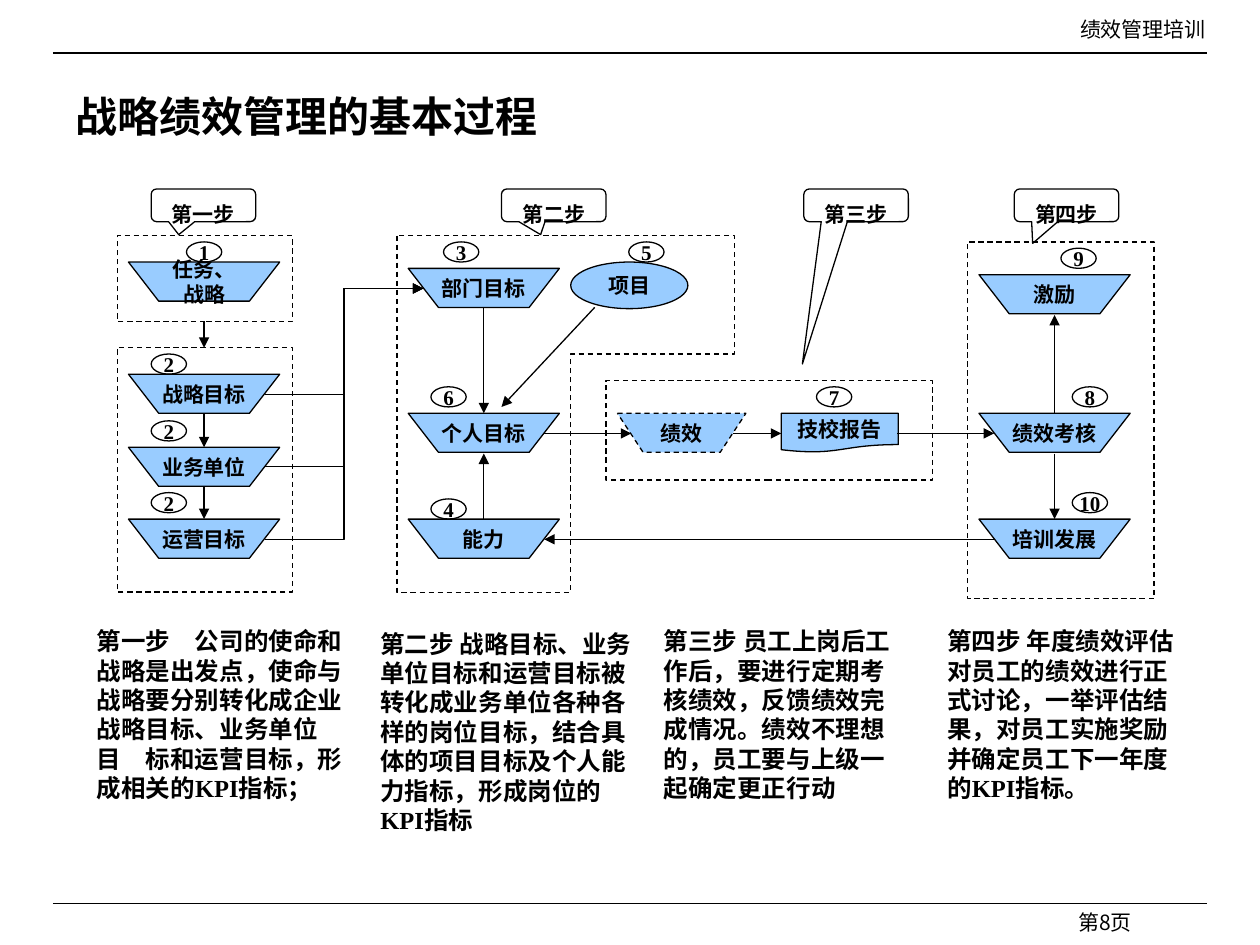
from typing import NamedTuple

from lxml.etree import SubElement
from pptx import Presentation
from pptx.dml.color import RGBColor
from pptx.enum.dml import MSO_LINE as Dash
from pptx.enum.shapes import MSO_CONNECTOR as Connector, MSO_SHAPE as Shape
from pptx.enum.text import MSO_ANCHOR as Anchor, PP_ALIGN as Align
from pptx.oxml.ns import qn
from pptx.util import Inches, Pt

BLACK = "000000"
BLUE = "99CCFF"
SERIF = "Times New Roman"
SANS = "Noto Sans CJK SC"
NODE_WIDTH, NODE_HEIGHT = 1.2, 0.31
BADGE_WIDTH, BADGE_HEIGHT = 0.28, 0.16
CALLOUT_TOP, CALLOUT_WIDTH, CALLOUT_HEIGHT = 1.5, 0.83, 0.26
LEFT_COLUMN, MIDDLE_COLUMN, RIGHT_COLUMN = 1.02, 3.24, 7.77
LEFT_AXIS, MIDDLE_AXIS, RIGHT_AXIS = 1.62, 3.84, 8.37
MIDDLE_ROW, BOTTOM_ROW = 3.28, 4.12
MIDDLE_FLOW, BOTTOM_FLOW = 3.44, 4.28


class Box(NamedTuple):
    left: float
    top: float
    width: float
    height: float


class Node(NamedTuple):
    text: str
    left: float
    top: float
    width: float = NODE_WIDTH
    height: float = NODE_HEIGHT
    kind: Shape = Shape.FLOWCHART_MANUAL_OPERATION
    dashed: bool = False


class Badge(NamedTuple):
    number: int
    left: float
    top: float


class Arrow(NamedTuple):
    start_x: float
    start_y: float
    end_x: float
    end_y: float


class Step(NamedTuple):
    label: str
    label_left: float
    callout_left: float
    pointer_x: float
    pointer_y: float
    description: str
    description_box: Box


FRAMES = [
    Box(0.93, 1.87, 1.39, 0.68),
    Box(0.93, 2.76, 1.39, 1.94),
    Box(4.81, 3.02, 2.59, 0.79),
    Box(7.68, 1.92, 1.48, 2.83),
]
STEP_TWO_OUTLINE = [(3.15, 1.87), (3.15, 4.7), (4.53, 4.7),
                    (4.53, 2.81), (5.83, 2.81), (5.83, 1.87)]
NODES = [
    Node("任务、\n战略", LEFT_COLUMN, 2.08),
    Node("战略目标", LEFT_COLUMN, 2.97),
    Node("业务单位", LEFT_COLUMN, 3.55),
    Node("运营目标", LEFT_COLUMN, BOTTOM_ROW),
    Node("部门目标", MIDDLE_COLUMN, 2.13),
    Node("个人目标", MIDDLE_COLUMN, MIDDLE_ROW),
    Node("能力", MIDDLE_COLUMN, BOTTOM_ROW),
    Node("项目", 4.53, 2.08, 0.93, 0.37, Shape.OVAL),
    Node("绩效", 4.9, MIDDLE_ROW, width=1.02, dashed=True),
    Node("技校报告", 6.2, MIDDLE_ROW, width=0.93, kind=Shape.FLOWCHART_DOCUMENT),
    Node("激励", RIGHT_COLUMN, 2.18),
    Node("绩效考核", RIGHT_COLUMN, MIDDLE_ROW),
    Node("培训发展", RIGHT_COLUMN, BOTTOM_ROW),
]
BADGES = [
    Badge(1, 1.48, 1.92), Badge(2, 1.2, 2.81), Badge(2, 1.2, 3.34),
    Badge(2, 1.2, 3.91), Badge(3, 3.52, 1.92), Badge(4, 3.42, 3.96),
    Badge(5, 4.99, 1.92), Badge(6, 3.42, 3.07), Badge(7, 6.48, 3.07),
    Badge(8, 8.51, 3.07), Badge(9, 8.42, 1.97), Badge(10, 8.51, 3.91),
]
ELBOW_ARROWS = [Arrow(2.1, y, 3.36, 2.29) for y in (3.13, 3.7, BOTTOM_FLOW)]
STRAIGHT_ARROWS = [
    Arrow(LEFT_AXIS, 2.55, LEFT_AXIS, 2.76),
    Arrow(LEFT_AXIS, 3.28, LEFT_AXIS, 3.55),
    Arrow(LEFT_AXIS, 3.86, LEFT_AXIS, BOTTOM_ROW),
    Arrow(MIDDLE_AXIS, 2.44, MIDDLE_AXIS, MIDDLE_ROW),
    Arrow(MIDDLE_AXIS, BOTTOM_ROW, MIDDLE_AXIS, 3.6),
    Arrow(4.72, 2.44, 3.98, 3.23),
    Arrow(4.53, 2.81, 4.53, 2.81),
    Arrow(4.32, MIDDLE_FLOW, 5.01, MIDDLE_FLOW),
    Arrow(5.82, MIDDLE_FLOW, 6.2, MIDDLE_FLOW),
    Arrow(7.12, MIDDLE_FLOW, 7.89, MIDDLE_FLOW),
    Arrow(7.89, BOTTOM_FLOW, 4.32, BOTTOM_FLOW),
    Arrow(RIGHT_AXIS, MIDDLE_ROW, RIGHT_AXIS, 2.5),
    Arrow(RIGHT_AXIS, 3.6, RIGHT_AXIS, BOTTOM_ROW),
]
STEPS = [
    Step("第一步", 0.83, 1.2, -0.236, 0.896,
         "第一步　公司的使命和战略是出发点，使命与战略要分别转化成企业"
         "战略目标、业务单位目　标和运营目标，形成相关的KPI指标；",
         Box(0.67, 4.92, 2.17, 2.09)),
    Step("第二步", 3.61, 3.98, -0.125, 0.896,
         "第二步 战略目标、业务单位目标和运营目标被转化成业务单位各种各样的"
         "岗位目标，结合具体的项目目标及个人能力指标，形成岗位的KPI指标",
         Box(2.92, 4.94, 2.25, 1.74)),
    Step("第三步", 6.01, 6.38, -0.514, 4.846,
         "第三步 员工上岗后工作后，要进行定期考核绩效，反馈绩效完成情况。"
         "绩效不理想的，员工要与上级一起确定更正行动",
         Box(5.17, 4.92, 2.08, 1.5)),
    Step("第四步", 7.68, 8.05, -0.324, 1.163,
         "第四步 年度绩效评估对员工的绩效进行正式讨论，一举评估结果，"
         "对员工实施奖励并确定员工下一年度的KPI指标。",
         Box(7.42, 4.92, 2.08, 1.86)),
]


def color(value: str) -> RGBColor:
    return RGBColor.from_string(value)


def write(shape, text: str, *, size=12, bold=True, font=SERIF, align=Align.CENTER,
          anchor=Anchor.TOP, wrap=True) -> None:
    frame = shape.text_frame
    frame.word_wrap = wrap
    frame.vertical_anchor = anchor
    frame.text = text
    for paragraph in frame.paragraphs:
        paragraph.alignment = align
        paragraph.font.size = Pt(size)
        paragraph.font.bold = bold
        paragraph.font.name = font
        paragraph.font.color.rgb = color(BLACK)


def add_text(slide, box: Box, text: str, **text_format) -> None:
    write(slide.shapes.add_textbox(*map(Inches, box)), text, **text_format)


def style_line(line, dashed=False) -> None:
    line.color.rgb = color(BLACK)
    line.width = Pt(0.75)
    if dashed:
        line.dash_style = Dash.DASH


def style_shape(shape, fill=None, dashed=False) -> None:
    shape.shadow.inherit = False
    if fill:
        shape.fill.solid()
        shape.fill.fore_color.rgb = color(fill)
    else:
        shape.fill.background()
    style_line(shape.line, dashed)


def add_shape(slide, kind: Shape, box: Box, fill=None, dashed=False):
    shape = slide.shapes.add_shape(kind, *map(Inches, box))
    style_shape(shape, fill, dashed)
    return shape


def add_line(slide, arrow: Arrow, kind=Connector.STRAIGHT, head=True) -> None:
    connector = slide.shapes.add_connector(kind, *map(Inches, arrow))
    style_line(connector.line)
    properties = connector._element.spPr
    if head:
        SubElement(properties.find(qn("a:ln")), qn("a:tailEnd"), type="triangle")
    SubElement(properties, qn("a:effectLst"))


def add_node(slide, node: Node) -> None:
    box = Box(node.left, node.top, node.width, node.height)
    shape = add_shape(slide, node.kind, box, BLUE, node.dashed)
    write(shape, node.text, anchor=Anchor.MIDDLE, wrap=False)


def add_badge(slide, badge: Badge) -> None:
    box = Box(badge.left, badge.top, BADGE_WIDTH, BADGE_HEIGHT)
    write(add_shape(slide, Shape.OVAL, box), str(badge.number),
          anchor=Anchor.MIDDLE, wrap=False)


def add_step(slide, step: Step) -> None:
    add_text(slide, Box(step.label_left, 1.55, 1.57, 0.3), step.label)
    callout = add_shape(slide, Shape.ROUNDED_RECTANGULAR_CALLOUT,
                        Box(step.callout_left, CALLOUT_TOP, CALLOUT_WIDTH, CALLOUT_HEIGHT))
    callout.adjustments[0] = step.pointer_x
    callout.adjustments[1] = step.pointer_y
    add_text(slide, step.description_box, step.description, size=14, align=Align.LEFT)


def main() -> None:
    presentation = Presentation()
    presentation.slide_width, presentation.slide_height = Inches(10), Inches(7.5)
    slide = presentation.slides.add_slide(presentation.slide_layouts[6])
    for y in (0.42, 7.17):
        add_line(slide, Arrow(0.42, y, 9.58, y), head=False)
    add_text(slide, Box(7, 7.17, 2.08, 0.17), "第8页", bold=False, font=SANS, align=Align.RIGHT)
    add_text(slide, Box(5, 0.08, 4.67, 0.3), "绩效管理培训", bold=False, align=Align.RIGHT)
    add_text(slide, Box(0.5, 0.58, 8.92, 0.67), "战略绩效管理的基本过程",
             size=24, align=Align.LEFT, anchor=Anchor.MIDDLE)
    for frame in FRAMES:
        add_shape(slide, Shape.RECTANGLE, frame, dashed=True)
    start, *corners = [(Inches(x), Inches(y)) for x, y in STEP_TWO_OUTLINE]
    builder = slide.shapes.build_freeform(*start)
    builder.add_line_segments(corners, close=True)
    style_shape(builder.convert_to_shape(), dashed=True)
    for node in NODES:
        add_node(slide, node)
    for arrow in ELBOW_ARROWS:
        add_line(slide, arrow, Connector.ELBOW)
    for arrow in STRAIGHT_ARROWS:
        add_line(slide, arrow)
    for badge in BADGES:
        add_badge(slide, badge)
    for step in STEPS:
        add_step(slide, step)
    presentation.save("out.pptx")


if __name__ == "__main__":
    main()
